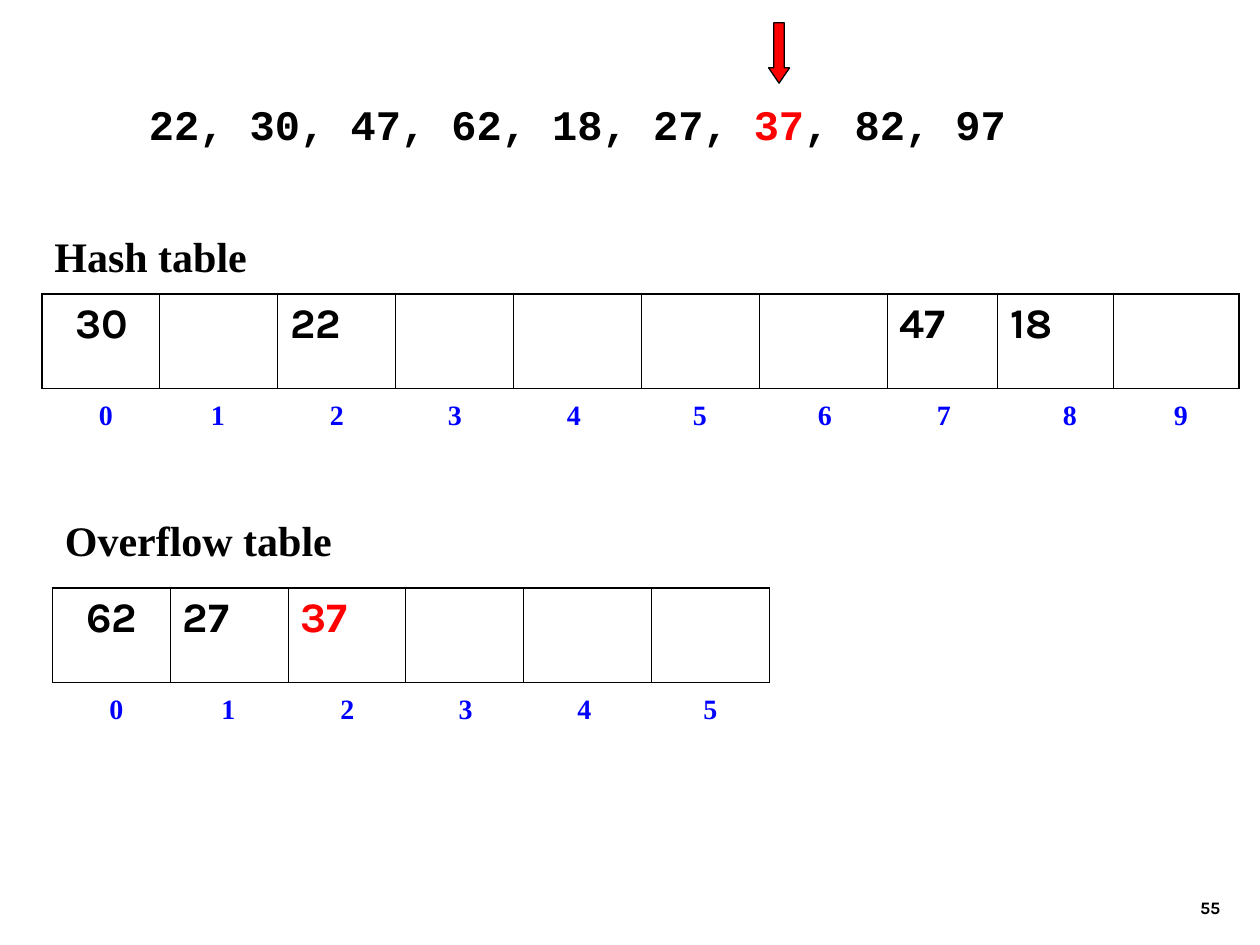
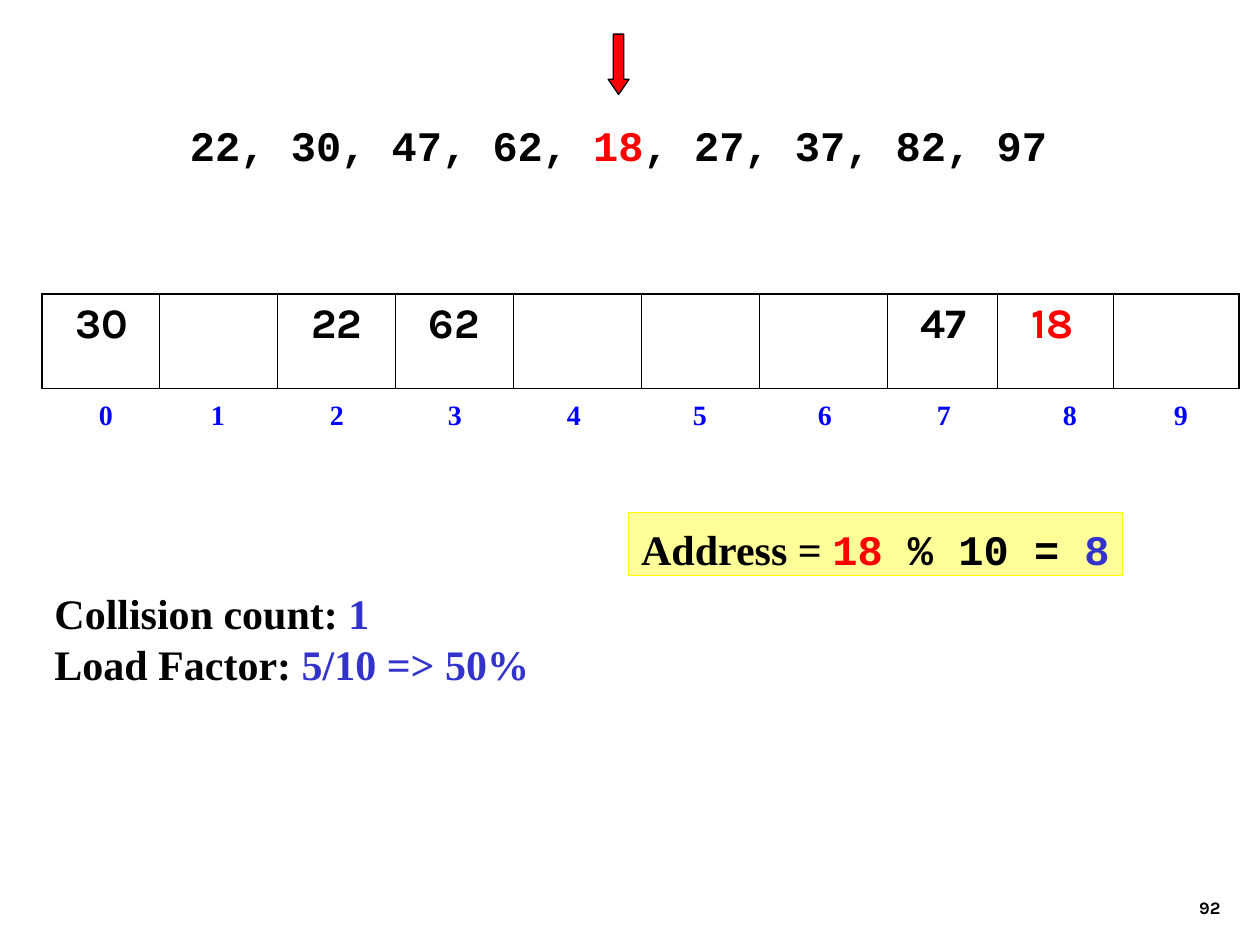
from dataclasses import dataclass
from lxml.etree import SubElement
from pptx import Presentation
from pptx.dml.color import RGBColor
from pptx.enum.shapes import MSO_SHAPE
from pptx.enum.text import MSO_ANCHOR, PP_ALIGN
from pptx.oxml.ns import qn
from pptx.util import Pt


@dataclass(frozen=True)
class Theme:
    black: str = "000000"
    red: str = "FF0000"
    blue: str = "0000FF"
    navy: str = "3333CC"
    pale: str = "FFFF99"
    gold: str = "FFFF00"
    serif: str = "Times New Roman"
    mono: str = "Courier New"
    sans: str = "Karla"
    big: int = 24
    mid: int = 16
    small: int = 10
    thick: float = 1.08
    thin: float = 0.45


T = Theme()

# Content: places are (left, top) or (left, top, width, height) in points
KEYS = [22, 30, 47, 62, 18, 27, 37, 82, 97]
COLS = [67.3, 67.3, 67.3, 67.3, 73.2, 67.3, 73.2, 63.2, 66.4, 71.5]
STOPS = [35.4, 99.4, 167.4, 234.9, 302.8, 374.8, 446.3, 514.3, 586.3, 649.8]
HASH = (24, 168)
SLIDES = [
    dict(page=55, key=37, list=(78, 48), arrow=13,
         tables=[
             dict(at=HASH, size=10, pad=[0], cells={0: 30, 2: 22, 7: 47, 8: 18}),
             dict(at=(30, 336), size=6, pad=[0], cells={0: 62, 1: 27, 2: 37}),
         ],
         notes=[
             ((24, 126, 132, 36), [[("Hash table", T.black)]]),
             ((30, 288, 198, 36), [[("Overflow table", T.black)]]),
         ]),
    dict(page=92, key=18, list=(101.5, 60), arrow=19.5,
         tables=[
             dict(at=HASH, size=10, pad=[0, 2, 3, 7, 8],
                  cells={0: 30, 2: 22, 3: 62, 7: 47, 8: 18}),
         ],
         notes=[
             ((24, 330, 286, 65), [
                 [("Collision count: ", T.black), ("1", T.navy)],
                 [("Load Factor: ", T.black), ("5/10 => 50%", T.navy)],
             ]),
         ],
         sum=[("Address = ", T.black, T.serif), ("18", T.red, T.mono),
              (" % 10 = ", T.black, T.mono), ("8", T.navy, T.mono)]),
]
SUM_BOX = (359.3, 293, 282.2, 35.8)


def rgb(code):
    return RGBColor.from_string(code)


def style(font, face, size, color=None):
    font.name, font.size, font.bold = face, Pt(size), True
    if color:
        font.color.rgb = rgb(color)


def write(par, parts):
    """Add (text, colour[, face]) runs to a paragraph."""
    for text, color, *face in parts:
        run = par.add_run()
        run.text = text
        run.font.color.rgb = rgb(color)
        if face:
            run.font.name = face[0]


def add_box(slide, place, lines, face, size, drop=0, wrap=True):
    """Text box; drop lowers the first line inside the frame."""
    box = slide.shapes.add_textbox(*map(Pt, place))
    frame = box.text_frame
    frame.word_wrap = wrap
    frame.margin_top = Pt(3.6 + drop)
    for i, parts in enumerate(lines):
        par = frame.add_paragraph() if i else frame.paragraphs[0]
        style(par.font, face, size)
        if len(lines) > 1:
            par.line_spacing = Pt(size * 1.2)
        write(par, parts)
    return frame


def add_shape(slide, kind, place, fill, line):
    shape = slide.shapes.add_shape(kind, *map(Pt, place))
    shape.shadow.inherit = False
    shape.fill.solid()
    shape.fill.fore_color.rgb = rgb(fill)
    shape.line.color.rgb = rgb(line)
    shape.line.width = Pt(0.75)
    return shape


def edge(cell, widths):
    props = cell._tc.get_or_add_tcPr()
    for i, (side, width) in enumerate(zip("LRTB", widths)):
        line = SubElement(props, qn(f"a:ln{side}"), w=str(Pt(width)))
        fill = SubElement(line, qn("a:solidFill"))
        SubElement(fill, qn("a:srgbClr"), val=T.black)
        props.insert(i, line)


def add_slots(slide, at, size, pad, cells, key):
    """One-row table with its slot numbers below."""
    left, top = at
    cols = COLS[:size]
    table = slide.shapes.add_table(
        1, size, Pt(left), Pt(top), Pt(sum(cols)), Pt(54)).table
    table.first_row = table.horz_banding = False
    for i, width in enumerate(cols):
        table.columns[i].width = Pt(width)
        cell = table.cell(0, i)
        cell.fill.background()
        edge(cell, (T.thin if i else T.thick,
                    T.thin if i < size - 1 else T.thick, T.thick, T.thick))
        if i in cells:
            cell.margin_left = Pt(19.2 if i in pad else 7.2)
            par = cell.text_frame.paragraphs[0]
            par.text = str(cells[i])
            style(par.font, T.sans, T.big,
                  T.red if cells[i] == key else T.black)

    # Slot numbers on centred tab stops
    place = (left - 6, top + 54, sum(cols) + 6, 27)
    frame = add_box(slide, place, [[]], T.serif, T.mid, 1.6)
    par = frame.paragraphs[0]
    props = par._p.get_or_add_pPr()
    tabs = SubElement(props, qn("a:tabLst"))
    props.insert(0, tabs)
    for stop in STOPS[:size]:
        SubElement(tabs, qn("a:tab"), pos=str(Pt(stop)), algn="ctr")
    write(par, [("".join(f"\t{i}" for i in range(size)), T.blue)])


def add_keys(slide, at, key, top):
    """Key list with an arrow above the current key."""
    i = KEYS.index(key)
    parts = [("".join(f"{k}, " for k in KEYS[:i]), T.black),
             (str(key), T.red),
             ("".join(f", {k}" for k in KEYS[i + 1:]), T.black)]
    add_box(slide, (*at, 504, 36), [parts], T.mono, T.big, 4.5, False)
    mid = at[0] + 7.2 + 0.6 * T.big * (4 * i + 1)
    arrow = add_shape(slide, MSO_SHAPE.DOWN_ARROW, (mid - 6, top, 12, 34.5),
                      T.red, T.black)
    arrow.adjustments[0] = 0.5
    arrow.adjustments[1] = 0.73


def add_sum(slide, parts):
    box = add_shape(slide, MSO_SHAPE.RECTANGLE, SUM_BOX, T.pale, T.gold)
    frame = box.text_frame
    frame.word_wrap = False
    frame.vertical_anchor = MSO_ANCHOR.TOP
    frame.margin_top = Pt(6)
    frame.margin_bottom = Pt(0)
    par = frame.paragraphs[0]
    par.alignment = PP_ALIGN.LEFT
    style(par.font, T.serif, T.big)
    write(par, parts)


def add_page(slide, page):
    frame = add_box(slide, (554.4, 492, 150, 36), [[(str(page), T.black)]],
                    T.sans, T.small)
    frame.vertical_anchor = MSO_ANCHOR.BOTTOM
    frame.paragraphs[0].alignment = PP_ALIGN.RIGHT


def main():
    deck = Presentation()
    deck.slide_width, deck.slide_height = Pt(720), Pt(540)
    for data in SLIDES:
        slide = deck.slides.add_slide(deck.slide_layouts[6])
        add_page(slide, data["page"])
        for table in data["tables"]:
            add_slots(slide, key=data["key"], **table)
        add_keys(slide, data["list"], data["key"], data["arrow"])
        for place, lines in data["notes"]:
            add_box(slide, place, lines, T.serif, T.big, 2.2, False)
        if "sum" in data:
            add_sum(slide, data["sum"])
    deck.save("out.pptx")


if __name__ == "__main__":
    main()
